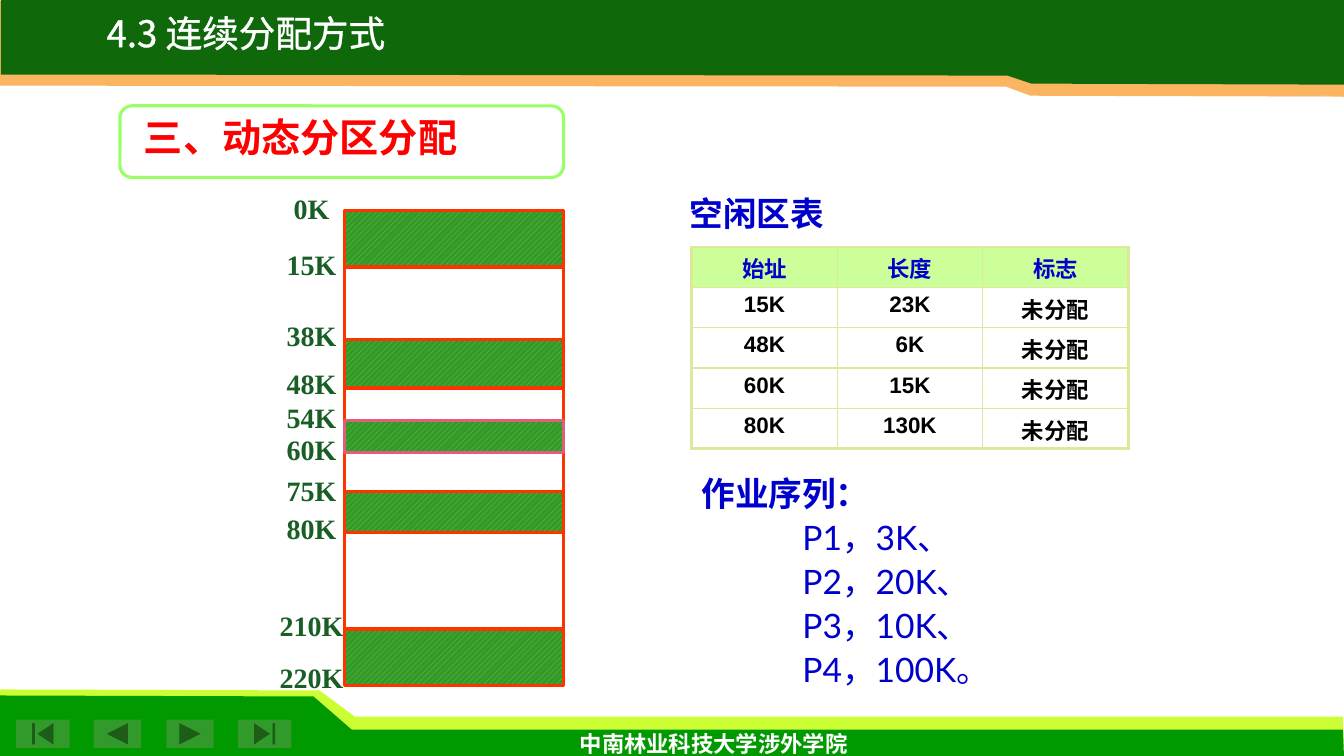
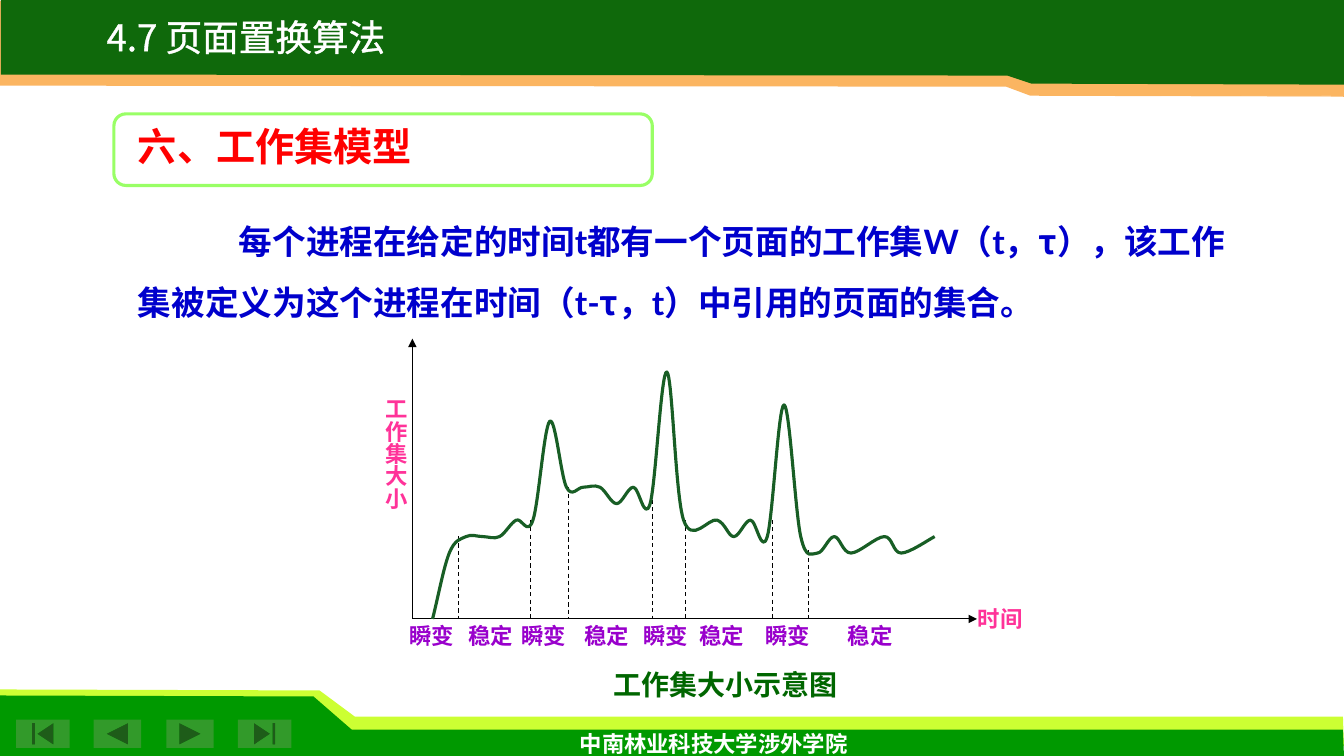
from collections import namedtuple

from lxml import etree
from pptx import Presentation
from pptx.dml.color import RGBColor
from pptx.enum.dml import MSO_LINE, MSO_PATTERN
from pptx.enum.shapes import MSO_CONNECTOR, MSO_SHAPE
from pptx.enum.text import PP_ALIGN
from pptx.oxml.ns import qn
from pptx.util import Inches, Pt

LEFT, CENTER = PP_ALIGN.LEFT, PP_ALIGN.CENTER
RECTANGLE, ROUNDED = MSO_SHAPE.RECTANGLE, MSO_SHAPE.ROUNDED_RECTANGLE
STRAIGHT, DASH = MSO_CONNECTOR.STRAIGHT, MSO_LINE.DASH
HATCH = MSO_PATTERN.WIDE_UPWARD_DIAGONAL
BLANK = 6
Box = namedtuple("Box", "left top width height")


class Theme:
    white, black = "FFFFFF", "000000"
    band, band_edge = "0F690B", "FBB561"
    footer, footer_edge = "009900", "CCFF33"
    button, hatch = "329A2A", "80CB35"
    heading_line, curve = "99FF66", "185E25"
    memory_line, memory_new = "FF3300", "E15D7C"
    grid, grid_head = "DDE89A", "CCFF99"
    thin, normal, outline, thick = 0.75, 1, 1.5, 2.25
    asian = "Noto Sans CJK SC"
    title = {"size": 26.1, "name": asian, "color": white}
    heading = {"size": 28, "name": "Times New Roman", "color": "FF0000", "bold": True}
    footer_text = {"size": 16, "name": "Lato", "color": white, "bold": True}
    subhead = {"size": 24, "name": "Times New Roman", "color": "0000CC", "bold": True}
    body = {**subhead, "name": "Lato"}
    body_asian = {**subhead, "name": asian}
    plain = {**body, "bold": False}
    address = {"size": 20, "name": "Times New Roman", "color": curve, "bold": True}
    cell = {"size": 16, "name": "Arial", "color": black, "bold": True}
    cell_head = {**cell, "color": "0000CC"}
    phase = {"size": 16, "name": "Times New Roman", "color": "9900CC", "bold": True}
    axis = {**phase, "color": "FF3399"}
    caption = {**address, "color": "006600"}


def lengths(*values):
    return [Inches(value) for value in values]


def set_solid(fill, color):
    fill.solid()
    fill.fore_color.rgb = RGBColor.from_string(color)


def line_xml(tag, width, color):
    """Make a line element, as text outlines and cell borders need."""
    line = etree.Element(qn(tag), w=str(Pt(width)))
    etree.SubElement(etree.SubElement(line, qn("a:solidFill")), qn("a:srgbClr"), val=color)
    return line


def add_span(para, text, style):
    span = para.add_run()
    span.text = text
    for name, value in style.items():
        if name == "color":
            span.font.color.rgb = RGBColor.from_string(value)
        else:
            setattr(span.font, name, Pt(value) if name == "size" else value)
    etree.SubElement(span.font._element, qn("a:ea"), typeface=Theme.asian)


def add_text(page, box, paragraphs, align=LEFT, spacing=None, wrap=True):
    """Place paragraphs, each a list of (text, style) pairs."""
    frame = page.shapes.add_textbox(*lengths(*box)).text_frame
    frame.word_wrap = wrap
    for index, spans in enumerate(paragraphs):
        para = frame.add_paragraph() if index else frame.paragraphs[0]
        para.alignment = align
        if spacing:
            para.line_spacing = spacing
        if spans[0][0].startswith("\t"):
            tabs = etree.SubElement(para._p.get_or_add_pPr(), qn("a:tabLst"))
            etree.SubElement(tabs, qn("a:tab"), pos=str(Inches(1)), algn="l")
        for text, style in spans:
            add_span(para, text, style)
    return frame


def paint(shape, fill=None, line=None):
    shape.shadow.inherit = False
    for part, color in ((shape.fill, fill), (shape.line.fill, line)):
        if color:
            set_solid(part, color)
        else:
            part.background()
    if line:
        shape.line.width = Pt(Theme.thick)
    return shape


def add_outline(page, points, close=True, **look):
    corners = [lengths(*point) for point in points]
    builder = page.shapes.build_freeform(*corners[0], scale=1.0)
    builder.add_line_segments(corners[1:], close=close)
    return paint(builder.convert_to_shape(), **look)


def add_line(page, start, end, dashed=False):
    """Draw a dashed guide or an arrow."""
    line = page.shapes.add_connector(STRAIGHT, *lengths(*start, *end))
    set_solid(line.line.fill, Theme.black)
    line.line.width = Pt(Theme.thin)
    if dashed:
        line.line.dash_style = DASH
    else:
        etree.SubElement(line.line._get_or_add_ln(), qn("a:tailEnd"), type="triangle")
    etree.SubElement(line._element.spPr, qn("a:effectLst"))


BANDS = [
    (Theme.footer_edge,
     [(0.01, 7.4), (13.33, 7.4), (13.32, 7.11), (3.52, 7.11), (3.17, 6.85), (0, 6.84)]),
    (Theme.footer,
     [(0, 7.5), (13.33, 7.5), (13.32, 7.24), (3.49, 7.24), (3.11, 6.91), (0, 6.9)]),
    (Theme.band_edge,
     [(13.33, 0.01), (0, 0.01), (0, 0.85), (9.98, 0.86), (10.22, 0.95), (13.33, 0.96)]),
    (Theme.band,
     [(13.33, 0), (0.01, 0), (0.01, 0.74), (9.99, 0.75), (10.23, 0.83), (13.33, 0.84)]),
    (Theme.white, [(10.05, 0.96), (13.2, 0.95), (13.19, 1.01), (10.19, 1.01)]),
]
BUTTONS = [(MSO_SHAPE.ACTION_BUTTON_BACK_OR_PREVIOUS, 0.93, 0.47),
           (MSO_SHAPE.ACTION_BUTTON_FORWARD_OR_NEXT, 1.65, 0.47),
           (MSO_SHAPE.ACTION_BUTTON_BEGINNING, 0.16, 0.53),
           (MSO_SHAPE.ACTION_BUTTON_END, 2.36, 0.53)]


def add_page(deck, title, title_top):
    """Add a slide with the bands, buttons, footer and title all slides share."""
    page = deck.slides.add_slide(deck.slide_layouts[BLANK])
    for color, points in BANDS:
        band = add_outline(page, points, fill=color)
    sheen = band._element.spPr.find(".//" + qn("a:srgbClr"))
    etree.SubElement(sheen, qn("a:alpha"), val="30000")
    for kind, left, width in BUTTONS:
        paint(page.shapes.add_shape(kind, *lengths(left, 7.14, width, 0.28)), Theme.button)
    add_text(page, Box(4.86, 7.19, 4.44, 0.3),
             [[("中南林业科技大学涉外学院", Theme.footer_text)]], CENTER)
    frame = add_text(page, Box(0.44, title_top, 4, 0.46), [[(title, Theme.title)]],
                     CENTER, 0.8, wrap=False)
    span = frame.paragraphs[0].runs[0]
    span.font._element.insert(0, line_xml("a:ln", Theme.outline, Theme.white))
    return page


def add_heading(page, box, text):
    paint(page.shapes.add_shape(ROUNDED, *lengths(*box)), Theme.white, Theme.heading_line)
    inner = Box(box.left + 0.14, box.top + 0.03, box.width, 0.57)
    add_text(page, inner, [[(text, Theme.heading)]])


# Address, its edge below the top, and how far its label rises above the edge.
MEMORY_EDGES = [("0K", 0, 0.24), ("15K", 0.56, 0.24), ("38K", 1.28, 0.26), ("48K", 1.76, 0.26),
                ("54K", 2.08, 0.25), ("60K", 2.4, 0.25), ("75K", 2.79, 0.23),
                ("80K", 3.19, 0.25), ("210K", 4.15, 0.25), ("220K", 4.71, 0.3)]
NEW_BLOCK, OPEN_GAP = 4, 5


def add_memory_map(page, box):
    """Draw the whole memory, its alternating blocks, and the new block on top."""
    paint(page.shapes.add_shape(RECTANGLE, *lengths(*box)), line=Theme.memory_line)
    order = [index for index in range(len(MEMORY_EDGES) - 1) if index != OPEN_GAP]
    for index in sorted(order, key=lambda index: index == NEW_BLOCK):
        start, end = MEMORY_EDGES[index][1], MEMORY_EDGES[index + 1][1]
        place = Box(box.left, box.top + start, box.width, end - start)
        block = page.shapes.add_shape(RECTANGLE, *lengths(*place))
        paint(block, line=Theme.memory_new if index == NEW_BLOCK else Theme.memory_line)
        if index % 2 == 0:
            block.fill.patterned()
            block.fill.pattern = HATCH
            block.fill.fore_color.rgb = RGBColor.from_string(Theme.hatch)
            block.fill.back_color.rgb = RGBColor.from_string(Theme.button)
    for label, edge, rise in MEMORY_EDGES:
        add_text(page, Box(box.left - 0.83, box.top + edge - rise, 1, 0.44),
                 [[(label, Theme.address)]], CENTER, wrap=False)


FREE_AREAS = [("始址", "长度", "标志"), ("15K", "23K", "未分配"), ("48K", "6K", "未分配"),
              ("60K", "15K", "未分配"), ("80K", "130K", "未分配")]


def add_free_table(page, box):
    rows, columns = len(FREE_AREAS), len(FREE_AREAS[0])
    table = page.shapes.add_table(rows, columns, *lengths(*box)).table
    table.first_row = table.horz_banding = False
    for r, values in enumerate(FREE_AREAS):
        for c, value in enumerate(values):
            cell = table.cell(r, c)
            cell.margin_bottom = Inches(0.02)
            outer = {"L": c == 0, "R": c == columns - 1, "T": r == 0, "B": r == rows - 1}
            for side, thick in outer.items():
                width = Theme.thick if thick else Theme.normal
                cell._tc.get_or_add_tcPr().append(line_xml(f"a:ln{side}", width, Theme.grid))
            if r == 0:
                set_solid(cell.fill, Theme.grid_head)
            else:
                cell.fill.background()
            para = cell.text_frame.paragraphs[0]
            para.alignment = CENTER
            add_span(para, value, Theme.cell if r else Theme.cell_head)


# Curve heights in level units at equal steps; None skips a step.
LEVELS = [0, 4, 5, 5, 5, 6, 6, 12, 8, 8, 8, 7, 8, 7, 15, 6, None, 6, 5, 6, 5,
          13, 5, 4, 5, 4, None, 5, 4, None, 5]
STEP, LEVEL, CURVE_START = 4.98 / 30, 2.45 / 15, 0.2
GUIDES = [(0.46, 0.82), (1.17, 0.98), (1.55, 1.31), (2.38, 1.18), (2.71, 0.98),
          (3.57, 0.98), (3.93, 0.68)]
PHASE_CENTERS = [0.19, 0.78, 1.3, 1.93, 2.51, 3.07, 3.72, 4.54]


def add_curve(page, points):
    """Draw a spline through the points, as one Bézier piece per gap."""
    shape = add_outline(page, points, close=False, line=Theme.curve)
    left, top = min(x for x, _ in points), min(y for _, y in points)
    local = [(x - left, y - top) for x, y in points]
    padded = [tuple(2 * a - b for a, b in zip(*local[:2])), *local, local[-1]]
    pieces = shape._element.spPr.findall(".//" + qn("a:lnTo"))
    for piece, a, b, c, d in zip(pieces, padded, padded[1:], padded[2:], padded[3:]):
        first = [q + (r - p) / 6 for p, q, r in zip(a, b, c)]
        second = [q - (r - p) / 6 for p, q, r in zip(b, c, d)]
        curve = etree.Element(qn("a:cubicBezTo"))
        for x, y in (first, second, c):
            etree.SubElement(curve, qn("a:pt"), x=str(Inches(x)), y=str(Inches(y)))
        piece.getparent().replace(piece, curve)


def add_working_set_plot(page, box):
    left, base = box.left, box.top + box.height
    add_line(page, (left, base), (left + box.width, base))
    add_line(page, (left, base), (left, box.top))
    for offset, height in GUIDES:
        add_line(page, (left + offset, base - height), (left + offset, base), dashed=True)
    add_curve(page, [(left + CURVE_START + STEP * index, base - LEVEL * level)
                     for index, level in enumerate(LEVELS) if level is not None])
    for index, center in enumerate(PHASE_CENTERS):
        add_text(page, Box(left + center - 0.4, base - 0.02, 0.8, 0.4),
                 [[(("瞬变", "稳定")[index % 2], Theme.phase)]], CENTER)
    add_text(page, Box(left + box.width - 0.09, base - 0.19, 1.04, 0.4),
             [[("时间", Theme.axis)]])
    frame = add_text(page, Box(left - 0.81, box.top + 0.49, 0.83, 1.51),
                     [[("工作集大小", Theme.axis)]])
    frame._txBody.bodyPr.set("vert", "eaVert")
    add_text(page, Box(left + 1.34, base + 0.43, 3.53, 0.49),
             [[("工作集大小示意图", Theme.caption)]], CENTER)


def build_partition_page(deck):
    page = add_page(deck, "4.3 连续分配方式", 0.14)
    add_text(page, Box(6.74, 1.86, 1.54, 0.5), [[("空闲区表", Theme.subhead)]], wrap=False)
    add_free_table(page, Box(6.86, 2.45, 4.33, 2))
    add_memory_map(page, Box(3.42, 2.09, 2.17, 4.71))
    jobs = ["P1，3K、", "P2，20K、", "P3，10K、", "P4，100K。"]
    lines = [[("作业序列：", Theme.body)]] + [[("\t" + job, Theme.plain)] for job in jobs]
    add_text(page, Box(6.86, 4.61, 4.81, 2.28), lines, spacing=Pt(31.4))
    add_heading(page, Box(1.19, 1.05, 4.4, 0.71), "三、动态分区分配")


def build_working_set_page(deck):
    page = add_page(deck, "4.7 页面置换算法", 0.18)
    add_working_set_plot(page, Box(4.09, 3.36, 5.6, 2.78))
    pieces = ["\t每个进程在给定的时间", "t", "都有一个页面的工作集", "W", "（", "t",
              "，τ），该工作集被定义为这个进程在时间（", "t-", "τ，", "t", "）中引用的页面的集合。"]
    spans = [(text, Theme.body if text.isascii() else Theme.body_asian) for text in pieces]
    add_text(page, Box(1.27, 1.95, 11.15, 1.24), [spans], spacing=Pt(43))
    add_heading(page, Box(1.13, 1.13, 5.34, 0.71), "六、工作集模型")


def main():
    deck = Presentation()
    deck.slide_width, deck.slide_height = lengths(13.33, 7.5)
    build_partition_page(deck)
    build_working_set_page(deck)
    deck.save("out.pptx")


if __name__ == "__main__":
    main()
